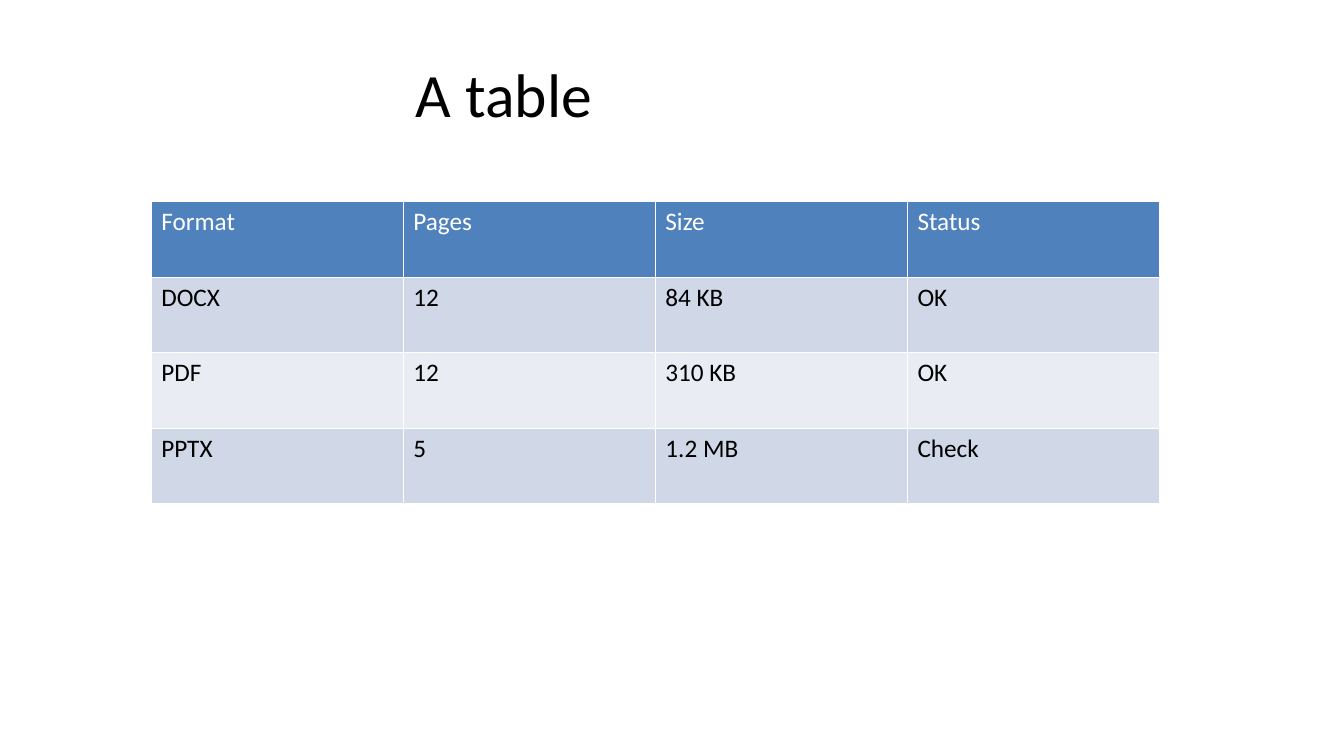
from lxml.etree import SubElement
from pptx import Presentation
from pptx.dml.color import RGBColor
from pptx.enum.text import MSO_ANCHOR as Anchor, PP_ALIGN as Align
from pptx.oxml.ns import qn
from pptx.util import Inches, Pt

BLACK = RGBColor(0x00, 0x00, 0x00)
WHITE = RGBColor(0xFF, 0xFF, 0xFF)
HEADER_BLUE = RGBColor(0x4F, 0x81, 0xBD)
BAND_DARK = RGBColor(0xD0, 0xD8, 0xE7)
BAND_LIGHT = RGBColor(0xE9, 0xEC, 0xF3)

FORMATS = [
    ("Format", "Pages", "Size", "Status"),
    ("DOCX", "12", "84 KB", "OK"),
    ("PDF", "12", "310 KB", "OK"),
    ("PPTX", "5", "1.2 MB", "Check"),
]


class TablePage:
    """Hold the text style and page, and place elements on a grid."""

    font = "Calibri"
    column = Inches(0.5)
    row = Inches(0.25)
    border = Pt(0.96)

    def __init__(self, deck):
        self.page = deck.slides.add_slide(deck.slide_layouts[5])

    def area(self, left, top, width, height):
        """Turn grid columns and rows into slide lengths."""
        units = (self.column, self.row, self.column, self.row)
        return [int(count * unit) for count, unit in zip((left, top, width, height), units)]

    def add_text(self, para, text, size, color):
        """Add one styled run to a paragraph."""
        span = para.add_run()
        span.text = text
        span.font.name = self.font
        span.font.size = Pt(size)
        span.font.bold = False
        span.font.color.rgb = color

    def title(self, text, *place):
        """Place and fill the title placeholder."""
        box = self.page.shapes.title
        box.left, box.top, box.width, box.height = self.area(*place)
        box.text_frame.vertical_anchor = Anchor.MIDDLE
        para = box.text_frame.paragraphs[0]
        para.alignment = Align.CENTER
        self.add_text(para, text, 44, BLACK)

    def outline(self, cell):
        """Draw a thin white border on each side of a cell."""
        properties = cell._tc.get_or_add_tcPr()
        for side in ("a:lnL", "a:lnR", "a:lnT", "a:lnB"):
            line = SubElement(properties, qn(side), w=str(int(self.border)))
            fill = SubElement(line, qn("a:solidFill"))
            SubElement(fill, qn("a:srgbClr"), val=str(WHITE))

    def table(self, rows, *place):
        """Add a table with a header row and banded body rows."""
        frame = self.page.shapes.add_table(len(rows), len(rows[0]), *self.area(*place))
        for index, values in enumerate(rows):
            band = BAND_DARK if index % 2 else BAND_LIGHT
            fill, color = (band, BLACK) if index else (HEADER_BLUE, WHITE)
            for position, text in enumerate(values):
                cell = frame.table.cell(index, position)
                self.outline(cell)
                cell.fill.solid()
                cell.fill.fore_color.rgb = fill
                self.add_text(cell.text_frame.paragraphs[0], text, 18, color)


def main():
    """Build and save the deck."""
    deck = Presentation()
    deck.slide_width, deck.slide_height = Inches(13.33), Inches(7.5)
    page = TablePage(deck)
    page.title("A table", 1, 1.2, 18, 5)
    page.table(FORMATS, 3, 8, 20, 12)
    deck.save("out.pptx")


if __name__ == "__main__":
    main()
